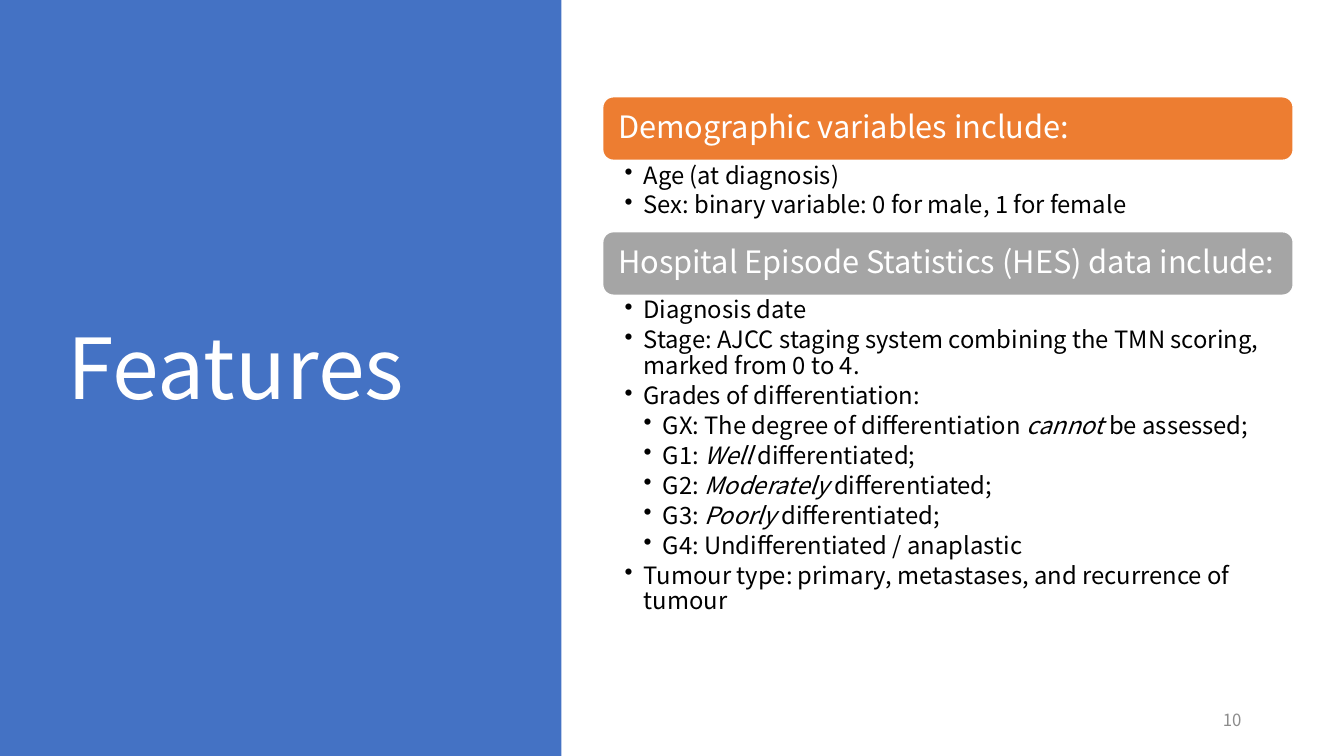
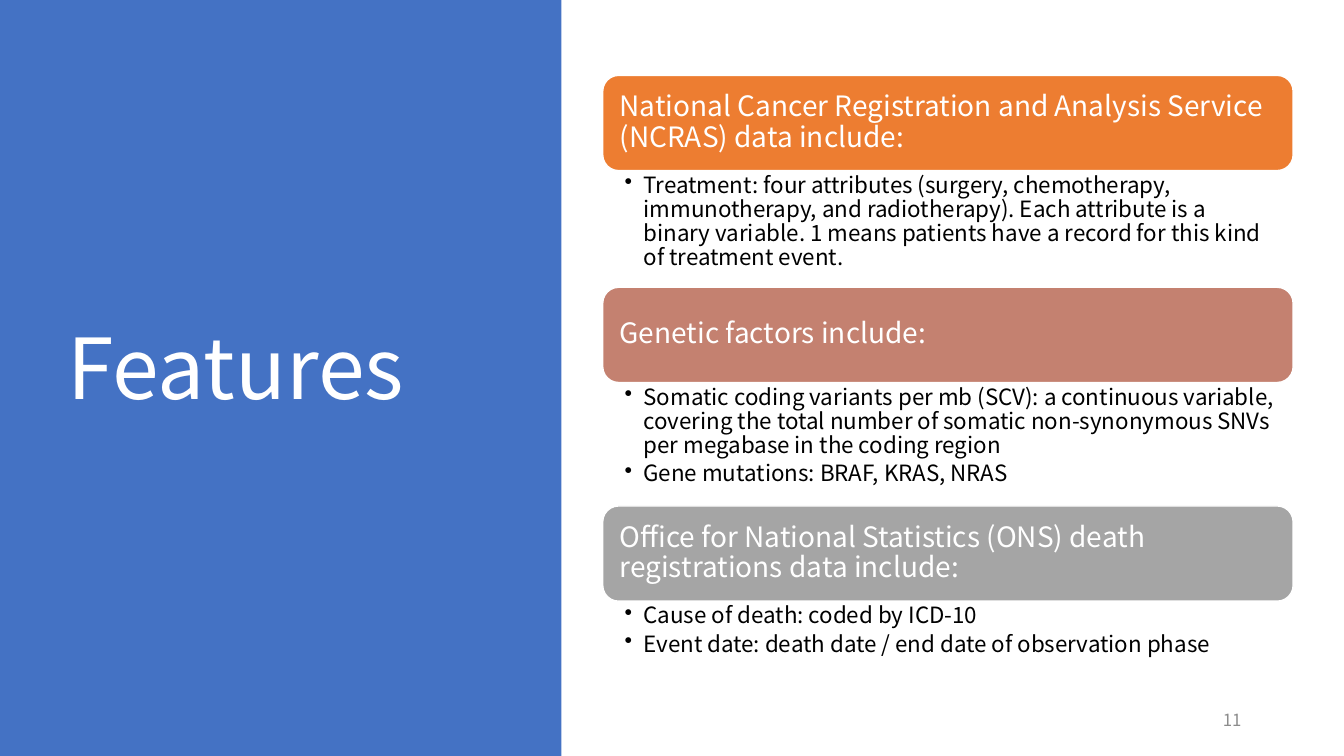
import pptx
import pptx.util
import pptx.dml.color
import pptx.enum.shapes
import pptx.enum.text
import pptx.oxml.ns
import lxml.etree

Cm, Pt = pptx.util.Cm, pptx.util.Pt
ANCHOR = pptx.enum.text.MSO_ANCHOR
SHAPE = pptx.enum.shapes.MSO_SHAPE

FONT = "Noto Sans CJK SC"
BLUE, ORANGE, ROSE, GREY = "4472C4", "ED7D31", "C48170", "A5A5A5"
WHITE, BLACK, PALE = "FFFFFF", "000000", "8C8C8C"
LINE_SPACING = 0.9
SLIDE_WIDTH, SLIDE_HEIGHT = 33.87, 19.05
SECTION_LEFT, SECTION_WIDTH = 15.19, 17.4
BULLET_INDENT = 0.48

# Lengths in cm, text sizes in points. Each section is (heading, colour,
# height of its list, bullets); a bullet is (level, text), with *italics*.
SLIDES = [
    {
        "title": "Features", "number": "10",
        "top": 2.44, "bar_height": 1.6, "heading_size": 22, "bullet_size": 17,
        "sections": [
            ("Demographic variables include:", ORANGE, 1.8, [
                (1, "Age (at diagnosis)"),
                (1, "Sex: binary variable: 0 for male, 1 for female"),
            ]),
            ("Hospital Episode Statistics (HES) data include:", GREY, 8.86, [
                (1, "Diagnosis date"),
                (1, "Stage: AJCC staging system combining the TMN scoring, marked from 0 to 4."),
                (1, "Grades of differentiation:"),
                (2, "GX: The degree of differentiation *cannot* be assessed;"),
                (2, "G1: *Well* differentiated;"),
                (2, "G2: *Moderately* differentiated;"),
                (2, "G3: *Poorly* differentiated;"),
                (2, "G4: Undifferentiated / anaplastic"),
                (1, "Tumour type: primary, metastases, and recurrence of tumour"),
            ]),
        ],
    },
    {
        "title": "Features", "number": "11",
        "top": 1.9, "bar_height": 2.4, "heading_size": 20, "bullet_size": 16,
        "sections": [
            ("National Cancer Registration and Analysis Service (NCRAS) data include:", ORANGE, 2.94, [
                (1, "Treatment: four attributes (surgery, chemotherapy, immunotherapy, and "
                    "radiotherapy). Each attribute is a binary variable. 1 means patients have "
                    "a record for this kind of treatment event."),
            ]),
            ("Genetic factors include:", ROSE, 3.11, [
                (1, "Somatic coding variants per mb (SCV): a continuous variable, covering the "
                    "total number of somatic non-synonymous SNVs per megabase in the coding region"),
                (1, "Gene mutations: BRAF, KRAS, NRAS"),
            ]),
            ("Office for National Statistics (ONS) death registrations data include:", GREY, 1.7, [
                (1, "Cause of death: coded by ICD-10"),
                (1, "Event date: death date / end date of observation phase"),
            ]),
        ],
    },
]


def rgb(colour):
    return pptx.dml.color.RGBColor.from_string(colour)


def box(left, top, width, height):
    return Cm(left), Cm(top), Cm(width), Cm(height)


def set_frame(frame, anchor, left=0.25, top=0.13, right=0.25, bottom=0.13):
    frame.word_wrap = True
    frame.auto_size = pptx.enum.text.MSO_AUTO_SIZE.NONE
    frame.vertical_anchor = anchor
    frame.margin_left, frame.margin_top = Cm(left), Cm(top)
    frame.margin_right, frame.margin_bottom = Cm(right), Cm(bottom)


def write(paragraph, text, size, colour, align=pptx.enum.text.PP_ALIGN.LEFT):
    """Add the text as runs, setting parts between asterisks in italics."""
    paragraph.alignment = align
    paragraph.line_spacing = LINE_SPACING
    for position, part in enumerate(text.split("*")):
        run = paragraph.add_run()
        run.text = part
        run.font.name = FONT
        run.font.size = Pt(size)
        run.font.color.rgb = rgb(colour)
        run.font.italic = position % 2 == 1


def add_filled(slide, preset, place, fill):
    shape = slide.shapes.add_shape(preset, *place)
    shape.shadow.inherit = False
    shape.fill.solid()
    shape.fill.fore_color.rgb = rgb(fill)
    shape.line.fill.background()
    return shape


def add_heading_bar(slide, place, text, size, fill):
    bar = add_filled(slide, SHAPE.ROUNDED_RECTANGLE, place, fill)
    bar.line.color.rgb = rgb(WHITE)
    bar.line.width = Pt(1)
    set_frame(bar.text_frame, ANCHOR.MIDDLE, 0.31, 0.31, 0.31, 0.31)
    write(bar.text_frame.paragraphs[0], text, size, WHITE)


def add_bullets(slide, place, bullets, size):
    frame = slide.shapes.add_textbox(*place).text_frame
    set_frame(frame, ANCHOR.TOP, 0.55, 0.08, 0.42, 0.08)
    for index, (level, text) in enumerate(bullets):
        paragraph = frame.add_paragraph() if index else frame.paragraphs[0]
        paragraph.level = level
        paragraph.space_after = Pt(3)
        properties = paragraph._p.get_or_add_pPr()
        properties.set("marL", str(Cm(BULLET_INDENT * level)))
        properties.set("indent", str(-Cm(BULLET_INDENT)))
        bullet = lxml.etree.SubElement(properties, pptx.oxml.ns.qn("a:buChar"))
        bullet.set("char", "•")
        write(paragraph, text, size, BLACK)


def add_frame_parts(slide, title_text, number):
    """Add what every slide shares: blue panel, title and page number."""
    title = slide.shapes.title
    panel = add_filled(slide, SHAPE.RECTANGLE, box(0, 0, 14.15, SLIDE_HEIGHT), BLUE)
    title.element.addprevious(panel.element)
    title.left, title.top, title.width, title.height = box(1.45, 1.73, 10.5, 15.29)
    set_frame(title.text_frame, ANCHOR.MIDDLE)
    write(title.text_frame.paragraphs[0], title_text, 60, WHITE)

    page = slide.shapes.add_textbox(*box(23.92, 17.66, 7.62, 1.01)).text_frame
    set_frame(page, ANCHOR.MIDDLE)
    write(page.paragraphs[0], number, 12, PALE, pptx.enum.text.PP_ALIGN.RIGHT)


def main():
    deck = pptx.Presentation()
    deck.slide_width, deck.slide_height = Cm(SLIDE_WIDTH), Cm(SLIDE_HEIGHT)
    title_only = deck.slide_layouts[5]
    for content in SLIDES:
        slide = deck.slides.add_slide(title_only)
        add_frame_parts(slide, content["title"], content["number"])
        top, bar_height = content["top"], content["bar_height"]
        for heading, colour, list_height, bullets in content["sections"]:
            add_heading_bar(slide, box(SECTION_LEFT, top, SECTION_WIDTH, bar_height),
                            heading, content["heading_size"], colour)
            top += bar_height
            add_bullets(slide, box(SECTION_LEFT, top, SECTION_WIDTH, list_height),
                        bullets, content["bullet_size"])
            top += list_height
    deck.save("out.pptx")


if __name__ == "__main__":
    main()
